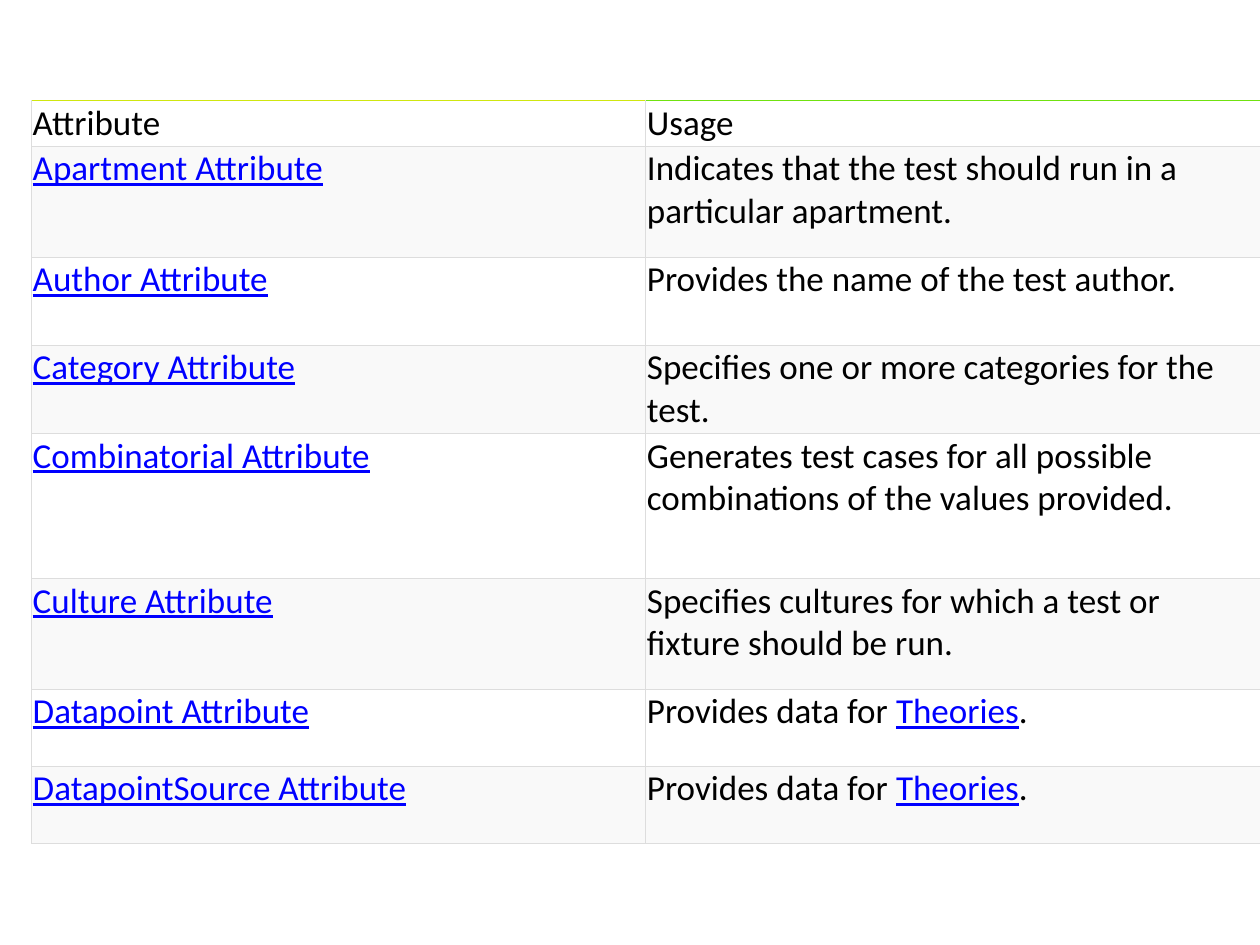
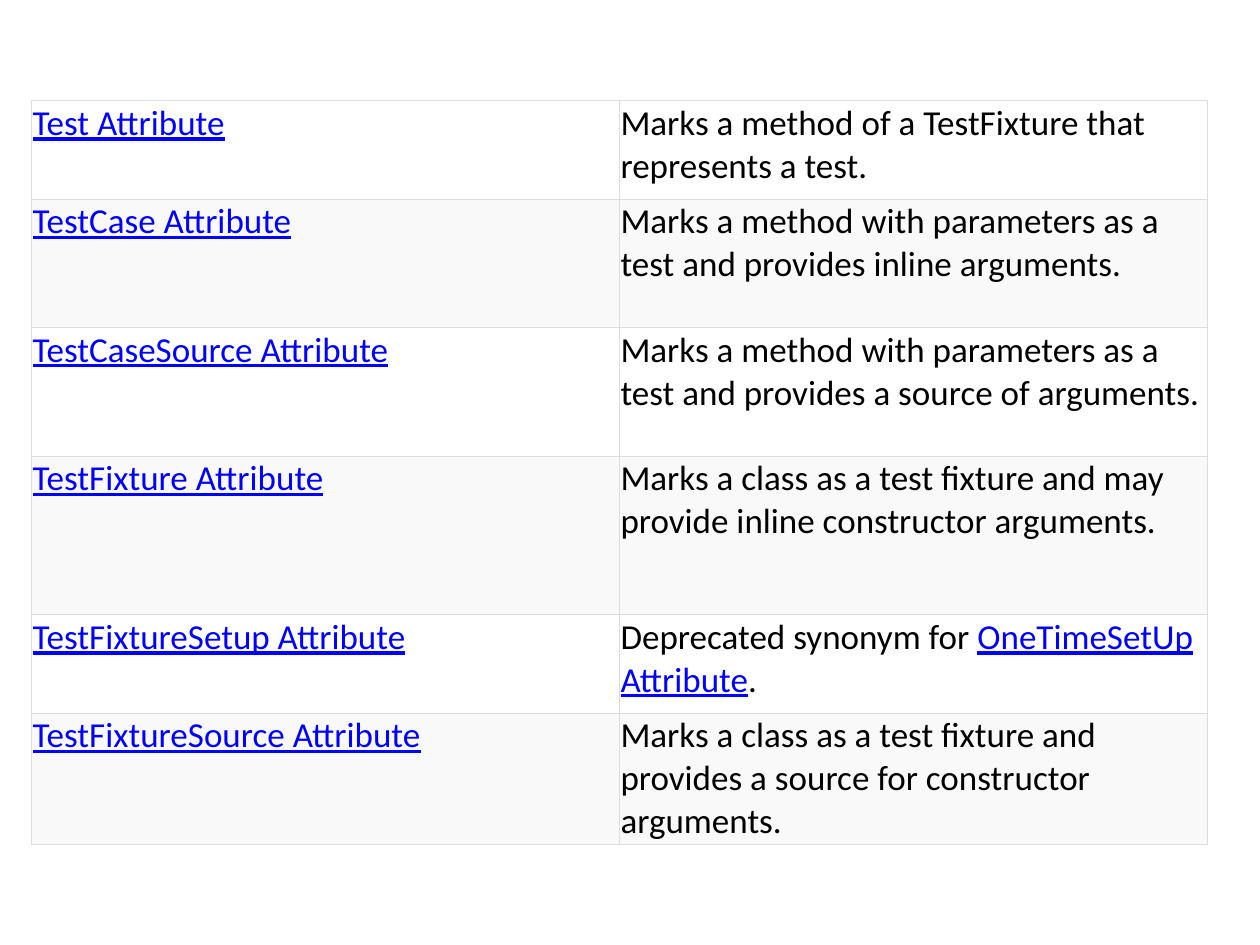
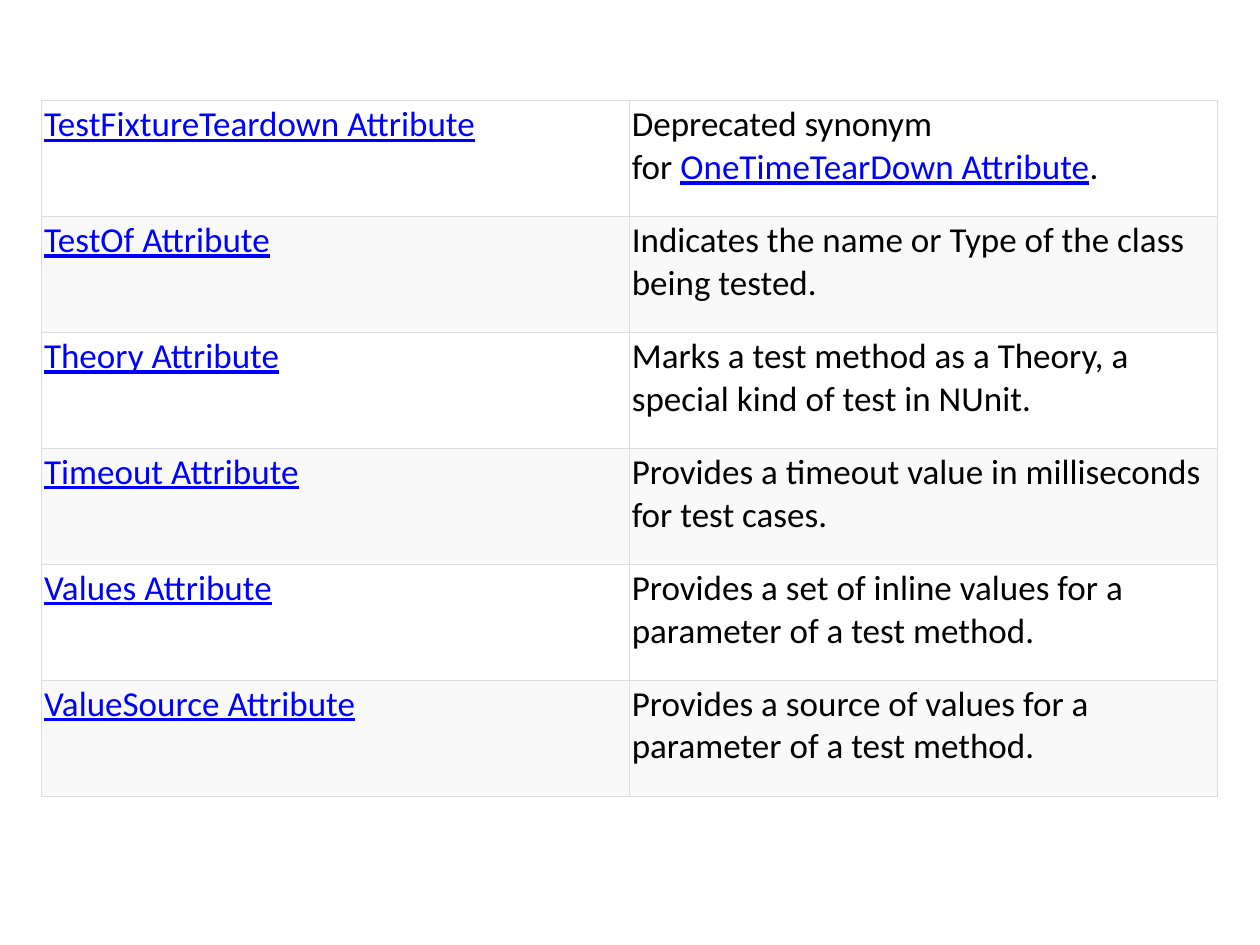
from lxml.etree import SubElement
from pptx import Presentation
from pptx.dml.color import RGBColor
from pptx.enum.text import MSO_ANCHOR as Anchor
from pptx.oxml import parse_xml
from pptx.oxml.ns import nsdecls, qn
from pptx.util import Inches, Pt

BLACK, LINK, BORDER = "000000", "0000FF", "DDDDDD"
ROW_FILLS = ("FFFFFF", "F9F9F9")
HEADER_TOPS = ("D0E70F", "70E20F")
FONT = {"name": "Calibri", "size": Pt(20), "bold": False}
TABLE_FLAGS = {"first_row": False, "horz_banding": False}
MARGINS = ("margin_left", "margin_top", "margin_right", "margin_bottom")
LINK_MARK = "|"

HEADER = ("Attribute", "Usage")
TABLES = [
    {
        "box": (0.25, 0.8, 9.75, 5.88),
        "inset": 0.01,
        "has_header": True,
        "heights": (0.36, 0.88, 0.7, 0.7, 1.15, 0.88, 0.61, 0.61),
        "entries": [
            ("Apartment", "Indicates that the test should run in a particular apartment."),
            ("Author", "Provides the name of the test author."),
            ("Category", "Specifies one or more categories for the test."),
            ("Combinatorial", "Generates test cases for all possible combinations of the values provided."),
            ("Culture", "Specifies cultures for which a test or fixture should be run."),
            ("Datapoint", "Provides data for\u00a0|Theories|."),
            ("DatapointSource", "Provides data for\u00a0|Theories|."),
        ],
    },
    {
        "box": (0.25, 0.8, 9.33, 5.87),
        "inset": 0.01,
        "has_header": False,
        "heights": (0.78, 1.02, 1.02, 1.26, 0.78, 1.02),
        "entries": [
            ("Test", "Marks a method of a TestFixture that represents a test."),
            ("TestCase", "Marks a method with parameters as a test and provides inline arguments."),
            ("TestCaseSource", "Marks a method with parameters as a test and provides a source of arguments."),
            ("TestFixture", "Marks a class as a test fixture and may provide inline constructor arguments."),
            ("TestFixtureSetup", "Deprecated synonym for\u00a0|OneTimeSetUp Attribute|."),
            ("TestFixtureSource", "Marks a class as a test fixture and provides a source for constructor arguments."),
        ],
    },
    {
        "box": (0.33, 0.8, 9.33, 5.98),
        "inset": 0.02,
        "has_header": False,
        "heights": (0.92,) * 6,
        "entries": [
            ("TestFixtureTeardown", "Deprecated synonym for\u00a0|OneTimeTearDown Attribute|."),
            ("TestOf", "Indicates the name or Type of the class being tested."),
            ("Theory", "Marks a test method as a Theory, a special kind of test in NUnit."),
            ("Timeout", "Provides a timeout value in milliseconds for test cases."),
            ("Values", "Provides a set of inline values for a parameter of a test method."),
            ("ValueSource", "Provides a source of values for a parameter of a test method."),
        ],
    },
]


def set_attributes(target, values):
    """Set each named attribute of the target."""
    for name, value in values.items():
        setattr(target, name, value)


def paint(color_format, color):
    """Give a fill or font colour its hex value."""
    color_format.rgb = RGBColor.from_string(color)


def draw_borders(cell, top_color):
    """Draw thin lines on the four sides of a cell."""
    properties = cell._tc.get_or_add_tcPr()
    for index, side in enumerate("LRTB"):
        color = top_color if side == "T" else BORDER
        line = parse_xml(f'<a:ln{side} {nsdecls("a")} w="{Pt(0.5)}"/>')
        fill = SubElement(line, qn("a:solidFill"))
        SubElement(fill, qn("a:srgbClr"), val=color)
        properties.insert(index, line)


def write_text(cell, text):
    """Write text whose marked parts look like links."""
    paragraph = cell.text_frame.paragraphs[0]
    for index, part in enumerate(text.split(LINK_MARK)):
        if part:
            is_link = index % 2 == 1
            run = paragraph.add_run()
            run.text = part
            set_attributes(run.font, {**FONT, "underline": is_link})
            paint(run.font.color, LINK if is_link else BLACK)


def format_cell(cell, text, fill, inset, anchor, top_color):
    """Fill one table cell with its text and look."""
    set_attributes(cell, {name: Inches(inset) for name in MARGINS})
    cell.vertical_anchor = anchor
    cell.fill.solid()
    paint(cell.fill.fore_color, fill)
    draw_borders(cell, top_color)
    write_text(cell, text)


def add_attribute_table(slide, box, inset, has_header, heights, entries):
    """Place a two-column table of attributes and usages in the box."""
    rows = [(f"|{name} Attribute|", usage) for name, usage in entries]
    if has_header:
        rows.insert(0, HEADER)
    frame = slide.shapes.add_table(len(rows), len(HEADER), *map(Inches, box))
    table = frame.table
    set_attributes(table, TABLE_FLAGS)
    for row_index, (texts, height) in enumerate(zip(rows, heights)):
        table.rows[row_index].height = Inches(height)
        is_header = has_header and row_index == 0
        anchor = Anchor.BOTTOM if is_header else Anchor.TOP
        fill = ROW_FILLS[row_index % 2]
        for column_index, text in enumerate(texts):
            top_color = HEADER_TOPS[column_index] if is_header else BORDER
            cell = table.cell(row_index, column_index)
            format_cell(cell, text, fill, inset, anchor, top_color)
    frame.height = Inches(box[3])


def main():
    """Build the presentation with one table on each slide."""
    presentation = Presentation()
    set_attributes(presentation, {"slide_width": Inches(10), "slide_height": Inches(7.5)})
    blank_layout = presentation.slide_layouts.get_by_name("Blank")
    for table in TABLES:
        add_attribute_table(presentation.slides.add_slide(blank_layout), **table)
    presentation.save("out.pptx")


main()
